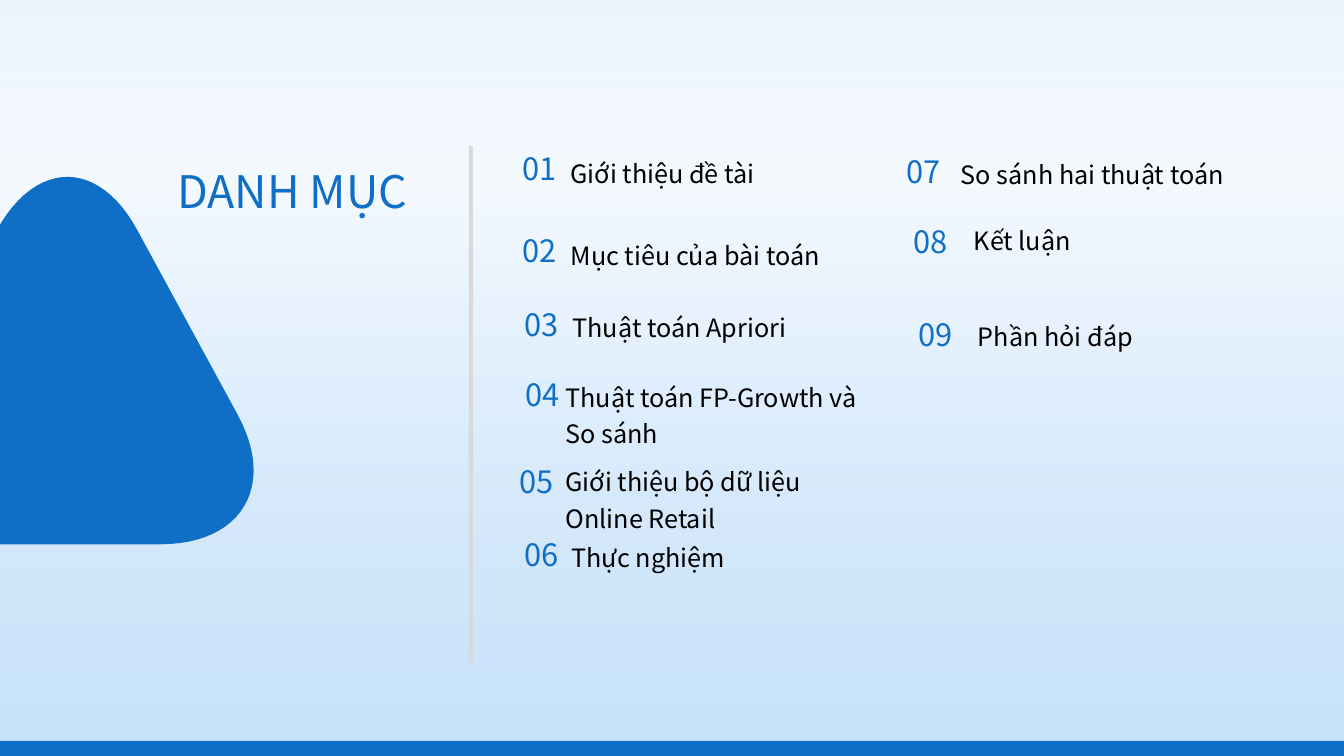
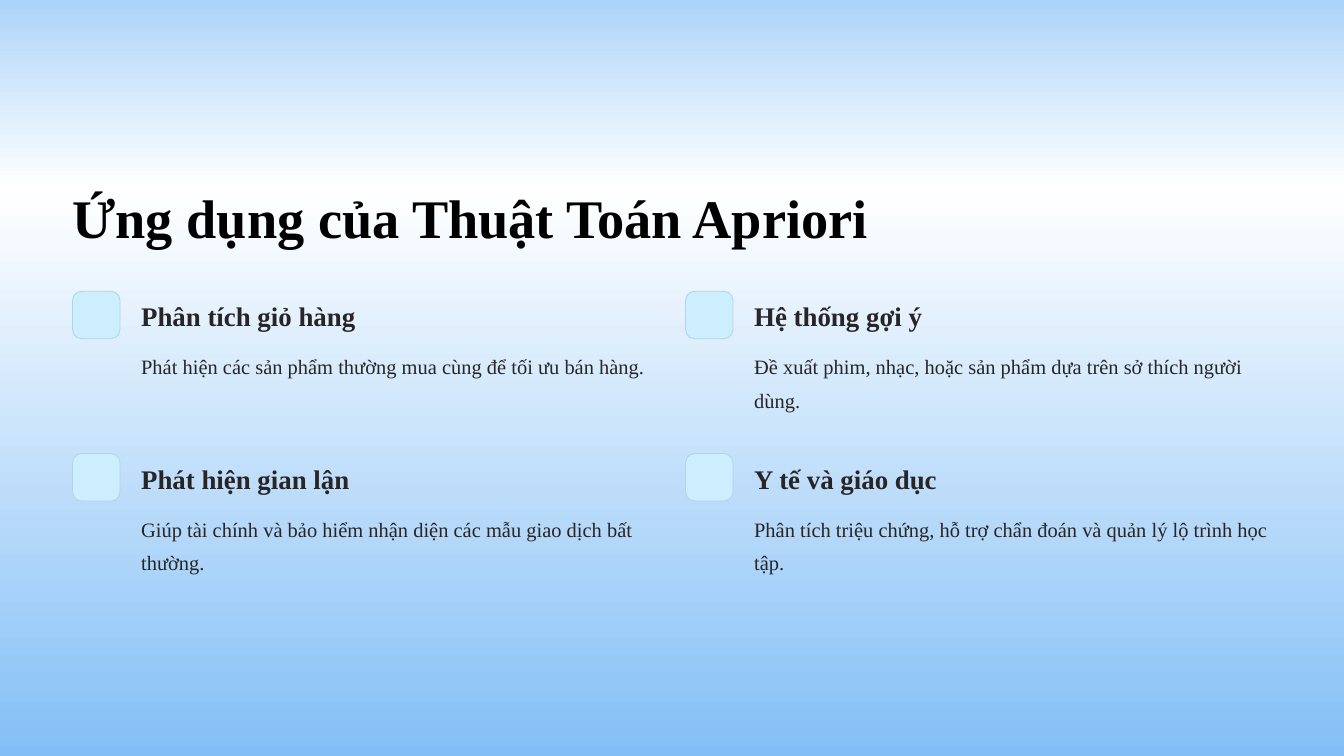
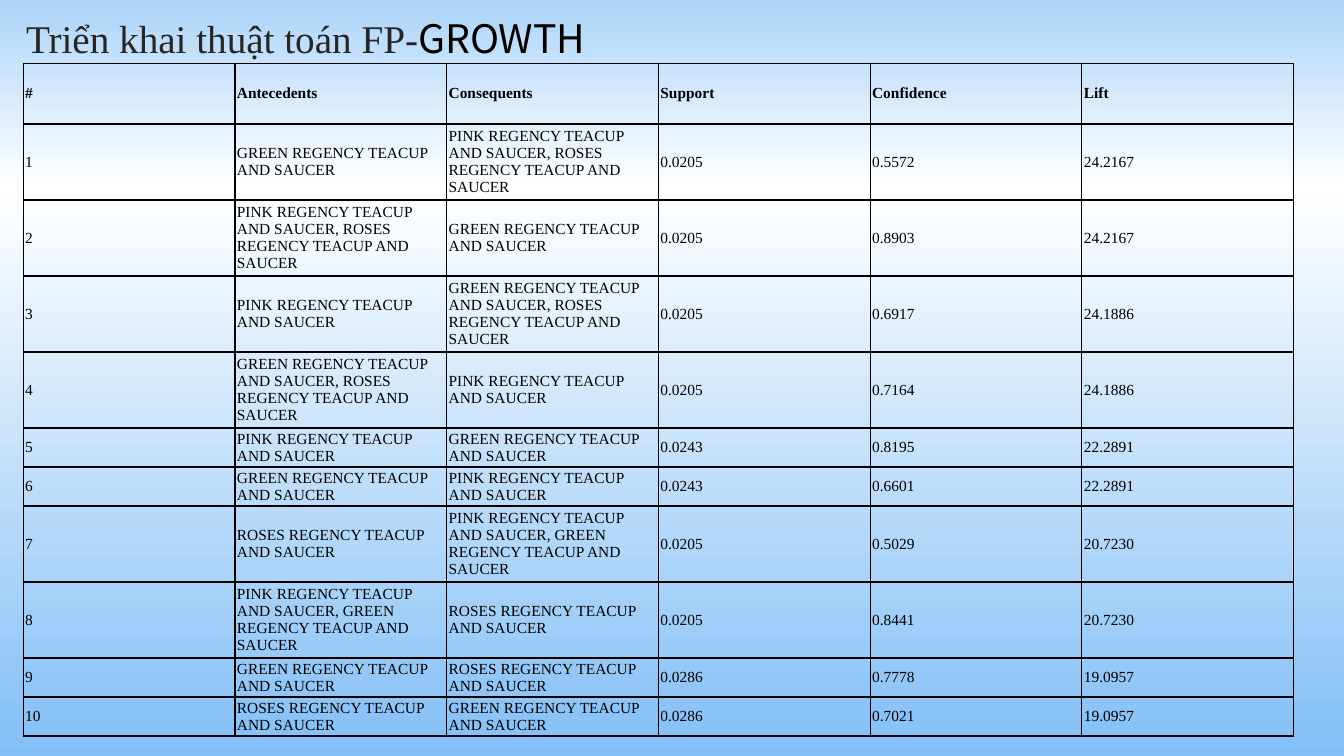
from lxml import etree
from pptx import Presentation
from pptx import util as u
from pptx.dml.color import RGBColor
from pptx.enum import shapes, text
from pptx.oxml.ns import qn

SCALE = 9144
WIDTH, HEIGHT = 1333, 750

BLUE = RGBColor(0x0F, 0x6F, 0xC6)
SKY = RGBColor(0xAC, 0xD4, 0xF9)
DEEP_SKY = RGBColor(0x83, 0xBF, 0xF6)
PALE_SKY = RGBColor(0xC8, 0xE3, 0xFB)
ICE = RGBColor(0xCC, 0xEE, 0xFF)
ICE_EDGE = RGBColor(0xB2, 0xD4, 0xE5)
GREY = RGBColor(0xD9, 0xD9, 0xD9)
CHARCOAL = RGBColor(0x27, 0x25, 0x25)
SOFT_BLACK = RGBColor(0x26, 0x26, 0x26)
BLACK = RGBColor(0, 0, 0)
WHITE = RGBColor(0xFF, 0xFF, 0xFF)

SANS = "Noto Sans CJK SC"
SERIF = "Times New Roman"

AGENDA = [
    ("Giới thiệu đề tài", (518, 143), (566, 151)),
    ("Mục tiêu của bài toán", (518, 225), (566, 232)),
    ("Thuật toán Apriori", (520, 298), (568, 304)),
    ("Thuật toán FP-Growth và So sánh", (521, 368), (561, 373)),
    ("Giới thiệu bộ dữ liệu Online Retail", (515, 454), (561, 457)),
    ("Thực nghiệm", (520, 526), (567, 532)),
    ("So sánh hai thuật toán", (899, 146), (953, 152)),
    ("Kết luận", (906, 216), (966, 218)),
    ("Phần hỏi đáp", (911, 308), (970, 313)),
]

APPLICATIONS = [
    ("Phân tích giỏ hàng",
     "Phát hiện các sản phẩm thường mua cùng để tối ưu bán hàng."),
    ("Hệ thống gợi ý",
     "Đề xuất phim, nhạc, hoặc sản phẩm dựa trên sở thích người dùng."),
    ("Phát hiện gian lận",
     "Giúp tài chính và bảo hiểm nhận diện các mẫu giao dịch bất thường."),
    ("Y tế và giáo dục",
     "Phân tích triệu chứng, hỗ trợ chẩn đoán và quản lý lộ trình học tập."),
]

RULE_HEADINGS = ["#", "Antecedents", "Consequents", "Support", "Confidence", "Lift"]
RULES = [
    ("GREEN", "PINK ROSES", "0.0205", "0.5572", "24.2167"),
    ("PINK ROSES", "GREEN", "0.0205", "0.8903", "24.2167"),
    ("PINK", "GREEN ROSES", "0.0205", "0.6917", "24.1886"),
    ("GREEN ROSES", "PINK", "0.0205", "0.7164", "24.1886"),
    ("PINK", "GREEN", "0.0243", "0.8195", "22.2891"),
    ("GREEN", "PINK", "0.0243", "0.6601", "22.2891"),
    ("ROSES", "PINK GREEN", "0.0205", "0.5029", "20.7230"),
    ("PINK GREEN", "ROSES", "0.0205", "0.8441", "20.7230"),
    ("GREEN", "ROSES", "0.0286", "0.7778", "19.0957"),
    ("ROSES", "GREEN", "0.0286", "0.7021", "19.0957"),
]


def px(*lengths):
    """Turn px lengths into a list of EMU lengths."""
    return [u.Emu(round(length * SCALE)) for length in lengths]


def set_gradient(fill, owner, stops):
    """Fill from top to bottom with (percent, colour, opacity) stops."""
    fill.gradient()
    fill.gradient_angle = 270
    stop_list = owner.find(".//" + qn("a:gsLst"))
    for old in list(stop_list):
        stop_list.remove(old)
    for percent, color, opacity in stops:
        stop = etree.SubElement(stop_list, qn("a:gs"), pos=str(percent * 1000))
        tint = etree.SubElement(stop, qn("a:srgbClr"), val=str(color))
        if opacity < 100:
            etree.SubElement(tint, qn("a:alpha"), val=str(opacity * 1000))


def write(frame, content, size, font=SANS, color=BLACK, bold=False, spacing=None,
          align=text.PP_ALIGN.LEFT):
    """Write a string, or (text, font, colour) runs, as one paragraph."""
    paragraph = frame.paragraphs[0]
    paragraph.alignment = align
    if spacing:
        paragraph.line_spacing = spacing
    runs = [(content, font, color)] if isinstance(content, str) else content
    for words, run_font, run_color in runs:
        run = paragraph.add_run()
        run.text = words
        run.font.name = run_font
        run.font.size = u.Pt(size)
        run.font.bold = bold
        run.font.color.rgb = run_color


def add_text(slide, box, content, wrap=True, middle=False, inset=(0, 0), **style):
    """Place a text box and write its content."""
    frame = slide.shapes.add_textbox(*px(*box)).text_frame
    frame.word_wrap = wrap
    frame.margin_left = frame.margin_right = px(inset[0])[0]
    frame.margin_top = frame.margin_bottom = px(inset[1])[0]
    frame.vertical_anchor = text.MSO_ANCHOR.MIDDLE if middle else text.MSO_ANCHOR.TOP
    write(frame, content, **style)


def add_block(slide, box, color, kind=shapes.MSO_SHAPE.RECTANGLE):
    """Place a flat preset shape without outline."""
    block = slide.shapes.add_shape(kind, *px(*box))
    block.shadow.inherit = False
    block.fill.solid()
    block.fill.fore_color.rgb = color
    block.line.fill.background()
    return block


def curve_points(anchors, steps=24):
    """Return points along a cubic curve."""
    weights = (1, 3, 3, 1)
    return [
        tuple(sum(weights[k] * (1 - t) ** (3 - k) * t ** k * anchors[k][axis]
                  for k in range(4)) for axis in (0, 1))
        for t in (step / steps for step in range(steps + 1))
    ]


def add_rounded_triangle(slide, left, top):
    """Draw the blue triangle with three rounded corners."""
    corners = [
        [(277, 365), (358, 365), (392, 307), (354, 237)],
        [(254, 53), (216, -17), (154, -17), (115, 53)],
        [(16, 237), (-22, 308), (12, 365), (92, 365)],
    ]
    outline = [px(*point) for corner in corners for point in curve_points(corner)]
    builder = slide.shapes.build_freeform(*outline[0])
    builder.add_line_segments(outline[1:], close=True)
    triangle = builder.convert_to_shape(*px(left, top))
    triangle.shadow.inherit = False
    triangle.fill.solid()
    triangle.fill.fore_color.rgb = BLUE
    triangle.line.fill.background()


def add_agenda_item(slide, number, label, number_at, label_at):
    """Place a two-digit number and its label."""
    add_text(slide, (*number_at, 47, 47), f"{number:02}", middle=True, size=22, color=BLUE)
    add_text(slide, (*label_at, 303, 63), label, size=18, spacing=1.2)


def build_agenda(slide):
    """Build the table of contents."""
    veil = add_block(slide, (-1, 0, WIDTH + 2, HEIGHT + 1), WHITE)
    set_gradient(veil.fill, veil.element, [(0, WHITE, 77), (100, PALE_SKY, 100)])
    add_block(slide, (0, 735, WIDTH, 15), BLUE)
    for number, item in enumerate(AGENDA, 1):
        add_agenda_item(slide, number, *item)
    add_text(slide, (122, 166, 282, 47), "DANH MỤC", middle=True, size=32, color=BLUE,
             align=text.PP_ALIGN.RIGHT)
    add_rounded_triangle(slide, -118, 175)
    add_block(slide, (465, 145, 4, 512), GREY)


def add_application(slide, left, top, heading, detail):
    """Place a rounded tile with its heading and detail."""
    tile = add_block(slide, (left, top, 47, 47), ICE, shapes.MSO_SHAPE.ROUNDED_RECTANGLE)
    tile.adjustments[0] = 0.19
    tile.line.color.rgb = ICE_EDGE
    tile.line.width = u.Pt(0.6)
    add_text(slide, (left + 68, top + 7, 271, 34), heading, wrap=False, size=19.2,
             font=SERIF, color=CHARCOAL, bold=True, spacing=u.Pt(24.2))
    add_text(slide, (left + 68, top + 54, 514, 66), detail, size=14.6,
             font=SERIF, color=CHARCOAL, spacing=u.Pt(23.8))


def build_applications(slide):
    """Build the two-by-two grid of applications."""
    add_text(slide, (72, 180, 829, 68), "Ứng dụng của Thuật Toán Apriori", wrap=False,
             size=38.8, font=SERIF, bold=True, spacing=u.Pt(48.8))
    for index, application in enumerate(APPLICATIONS):
        row, column = divmod(index, 2)
        add_application(slide, 72 + 608 * column, 289 + 161 * row, *application)


def teacups(colors):
    """Spell out the teacup sets of the given colours."""
    return ", ".join(f"{color} REGENCY TEACUP AND SAUCER" for color in colors.split())


def style_cell(cell):
    """Give a cell clear fill, thin black borders and narrow margins."""
    cell.margin_left = cell.margin_right = px(2)[0]
    cell.margin_top = cell.margin_bottom = px(1)[0]
    cell.vertical_anchor = text.MSO_ANCHOR.MIDDLE
    properties = cell._tc.get_or_add_tcPr()
    for side in ("lnL", "lnR", "lnT", "lnB"):
        border = etree.SubElement(properties, qn(f"a:{side}"), w=str(u.Pt(1)))
        solid = etree.SubElement(border, qn("a:solidFill"))
        etree.SubElement(solid, qn("a:srgbClr"), val=str(BLACK))
    cell.fill.background()


def add_rule_table(slide, left, top):
    """Place the table of association rules."""
    rows = [RULE_HEADINGS] + [
        (str(number), teacups(source), teacups(target), *measures)
        for number, (source, target, *measures) in enumerate(RULES, 1)
    ]
    heights = [60] + [73 if " " in source + target else 37 for source, target, *_ in RULES]
    table = slide.shapes.add_table(
        len(rows), len(RULE_HEADINGS), *px(left, top, 1260, sum(heights))).table
    table.first_row = table.horz_banding = False
    for column in table.columns:
        column.width = px(210)[0]
    for r, (values, height) in enumerate(zip(rows, heights)):
        table.rows[r].height = px(height)[0]
        for c, value in enumerate(values):
            cell = table.cell(r, c)
            style_cell(cell)
            write(cell.text_frame, value, size=11, font=SERIF, bold=r == 0)


def build_rules(slide):
    """Build the FP-Growth results."""
    title = [("Triển khai thuật toán FP-", SERIF, SOFT_BLACK), ("GROWTH", SANS, BLACK)]
    add_text(slide, (16, 0, 667, 63), title, inset=(10, 5), size=28, spacing=1.2)
    add_rule_table(slide, 23, 63)


def main():
    """Build and save the presentation."""
    deck = Presentation()
    deck.slide_width, deck.slide_height = px(WIDTH, HEIGHT)
    master = deck.slide_master
    set_gradient(master.background.fill, master.element,
                 [(0, SKY, 100), (25, WHITE, 100), (100, DEEP_SKY, 100)])
    for build in (build_agenda, build_applications, build_rules):
        build(deck.slides.add_slide(deck.slide_layouts[6]))
    deck.save("out.pptx")


if __name__ == "__main__":
    main()
